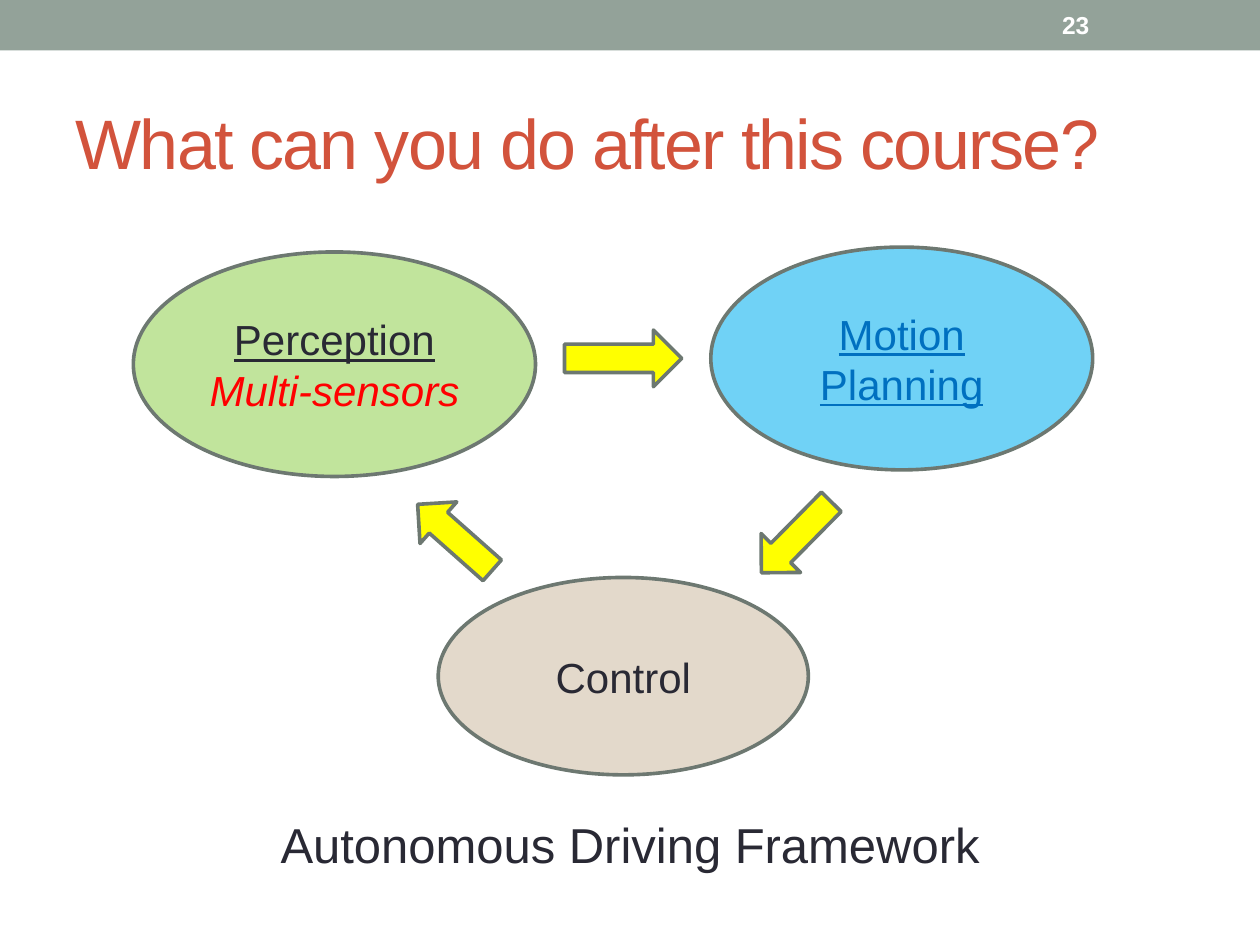
from lxml import etree
from pptx import Presentation
from pptx.dml.color import RGBColor
from pptx.enum.shapes import MSO_SHAPE as Shape
from pptx.enum.text import MSO_ANCHOR as Anchor, MSO_AUTO_SIZE as AutoSize, PP_ALIGN as Align
from pptx.oxml.ns import qn
from pptx.util import Pt

FONT = "Arial"
DARK = "292934"
OUTLINE = "6D7871"
YELLOW = "FFFF00"


def color(value):
    return RGBColor.from_string(value)


def write(paragraph, text, size=24, fill=DARK, align=Align.CENTER, bold=False,
          italic=False, underline=False, spacing=None):
    """Add one formatted run; spacing is the letter spacing in points."""
    paragraph.alignment = align
    run = paragraph.add_run()
    run.text = text
    font = run.font
    font.name, font.size = FONT, Pt(size)
    font.color.rgb = color(fill)
    font.bold, font.italic, font.underline = bold, italic, underline
    if spacing is not None:
        font._element.set("spc", str(round(spacing * 100)))


def add_figure(slide, kind, box, fill, line=OUTLINE, opacity=None, rotation=0):
    shape = slide.shapes.add_shape(kind, *map(Pt, box))
    shape.shadow.inherit = False
    shape.rotation = rotation
    shape.fill.solid()
    shape.fill.fore_color.rgb = color(fill)
    if opacity is not None:
        rgb = shape.fill._xPr.find(".//" + qn("a:srgbClr"))
        etree.SubElement(rgb, qn("a:alpha"), val=str(opacity * 1000))
    if line:
        shape.line.color.rgb = color(line)
        shape.line.width = Pt(2.08)
    else:
        shape.line.fill.background()
    return shape


def add_stage(slide, box, fill, lines):
    """Draw an oval stage with one paragraph per (text, format) pair."""
    frame = add_figure(slide, Shape.FLOWCHART_CONNECTOR, box, fill, opacity=56).text_frame
    frame.word_wrap = True
    frame.vertical_anchor = Anchor.MIDDLE
    for index, (text, style) in enumerate(lines):
        paragraph = frame.add_paragraph() if index else frame.paragraphs[0]
        write(paragraph, text, **style)


def add_label(slide, box, text, anchor=Anchor.TOP, **style):
    frame = slide.shapes.add_textbox(*map(Pt, box)).text_frame
    frame.word_wrap = True
    frame.vertical_anchor = anchor
    write(frame.paragraphs[0], text, **style)


def add_title(slide, box, text):
    title = slide.shapes.title
    title.left, title.top, title.width, title.height = map(Pt, box)
    frame = title.text_frame
    frame.auto_size = AutoSize.NONE
    frame.vertical_anchor = Anchor.MIDDLE
    write(frame.paragraphs[0], text, size=40, fill="D2533C", align=Align.LEFT, spacing=-1)


def main():
    presentation = Presentation()
    presentation.slide_width, presentation.slide_height = Pt(720), Pt(540)
    slide = presentation.slides.add_slide(presentation.slide_layouts[5])

    # Header band, slide number and title
    add_figure(slide, Shape.RECTANGLE, (0, 0, 720, 28.8), "93A299", line=None)
    add_label(slide, (599.8, 1.4, 84.2, 26), "23", anchor=Anchor.MIDDLE,
              size=14, fill="FFFFFF", align=Align.LEFT, bold=True)
    add_title(slide, (36, 41.8, 648, 77.8), "What can you do after this course?")

    # Stages of the driving loop
    add_stage(slide, (76.2, 144, 229.8, 128.3), "92D050", [
        ("Perception", {"underline": True}),
        ("Multi-sensors", {"fill": "FF0000", "italic": True}),
    ])
    add_stage(slide, (406.2, 141.2, 218.2, 127.3), "00B0F0",
              [("Motion Planning", {"fill": "0070C0", "underline": True})])
    add_stage(slide, (250.4, 330, 211.5, 112.8), "CEBCA4", [("Control", {})])

    # Arrows between the stages
    add_figure(slide, Shape.RIGHT_ARROW, (322.6, 188.6, 67, 32.4), YELLOW)
    for left, rotation in ((439.2, 44.6), (244.1, 131.5)):
        add_figure(slide, Shape.DOWN_ARROW, (left, 278.6, 31.7, 56.9), YELLOW,
                   rotation=rotation)

    # Caption
    add_label(slide, (0, 462.2, 720, 41), "Autonomous Driving Framework", size=28)

    presentation.save("out.pptx")


if __name__ == "__main__":
    main()
